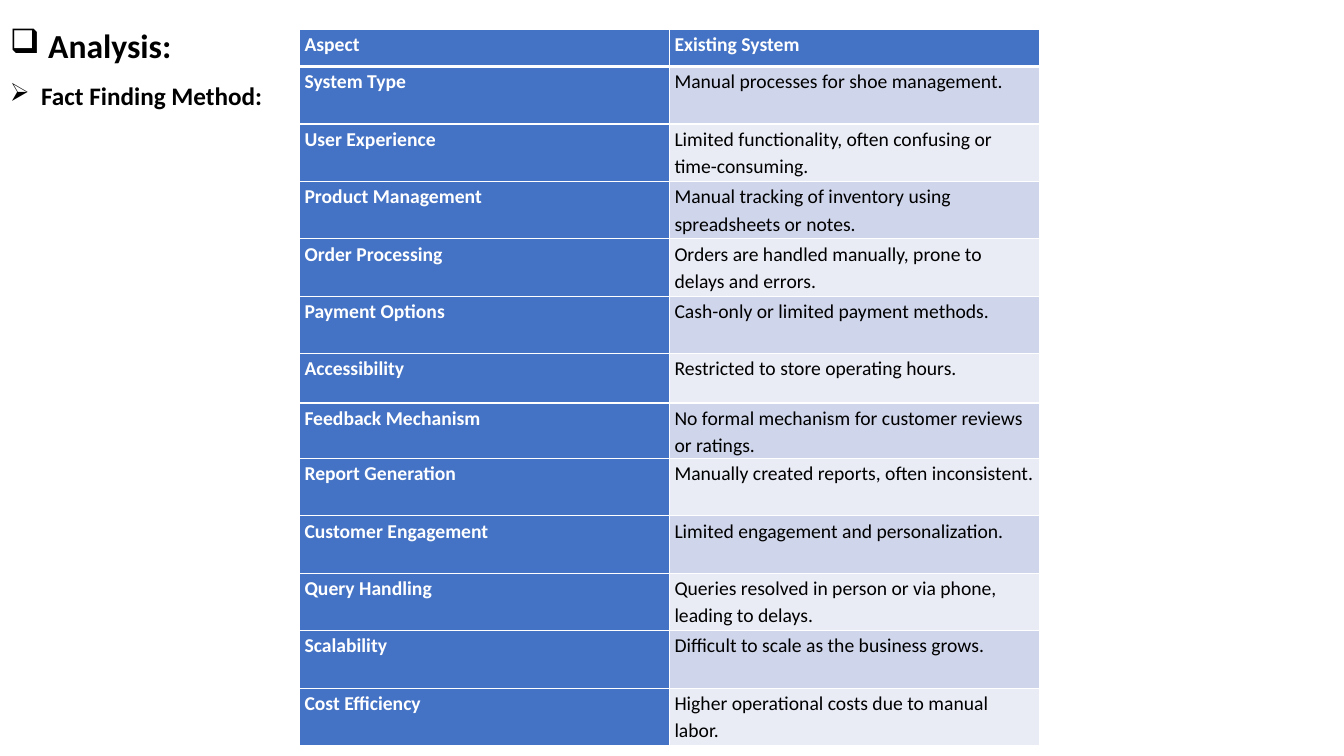
import pptx
import pptx.dml.color
import pptx.enum.text
import pptx.oxml.ns
import pptx.util
import lxml.etree

Inches = pptx.util.Inches
Pt = pptx.util.Pt
RGBColor = pptx.dml.color.RGBColor

BLACK = RGBColor(0x00, 0x00, 0x00)
WHITE = RGBColor(0xFF, 0xFF, 0xFF)
BLUE = RGBColor(0x44, 0x72, 0xC4)
BANDS = (RGBColor(0xE9, 0xEB, 0xF5), RGBColor(0xCF, 0xD5, 0xEA))
FONT = "Calibri"

TITLES = (
    ("Analysis:", "❑", 24, 0.38),
    ("Fact Finding Method:", "➢", 18, 0.31),
)

ROWS = (
    ("Aspect", "Existing System", 0.37),
    ("System Type", "Manual processes for shoe management.", 0.57),
    ("User Experience", "Limited functionality, often confusing or time-consuming.", 0.57),
    ("Product Management", "Manual tracking of inventory using spreadsheets or notes.", 0.57),
    ("Order Processing", "Orders are handled manually, prone to delays and errors.", 0.57),
    ("Payment Options", "Cash-only or limited payment methods.", 0.57),
    ("Accessibility", "Restricted to store operating hours.", 0.49),
    ("Feedback Mechanism", "No formal mechanism for customer reviews or ratings.", 0.55),
    ("Report Generation", "Manually created reports, often inconsistent.", 0.57),
    ("Customer Engagement", "Limited engagement and personalization.", 0.57),
    ("Query Handling", "Queries resolved in person or via phone, leading to delays.", 0.57),
    ("Scalability", "Difficult to scale as the business grows.", 0.57),
    ("Cost Efficiency", "Higher operational costs due to manual labor.", 0.57),
)


def add_node(parent, tag, **attrs):
    return lxml.etree.SubElement(parent, pptx.oxml.ns.qn(tag), attrs)


def style_text(para, size, color, bold):
    for run in para.runs:
        run.font.name = FONT
        run.font.size = Pt(size)
        run.font.bold = bold
        run.font.color.rgb = color


def add_bullet(para, char, indent):
    """Give the paragraph a hanging bullet."""
    props = para._p.get_or_add_pPr()
    props.set("marL", str(Inches(indent)))
    props.set("indent", str(-Inches(indent)))
    add_node(props, "a:buChar", char=char)


def add_titles(slide):
    box = slide.shapes.add_textbox(0, 0, Inches(13.33), Inches(1.11))
    frame = box.text_frame
    frame.word_wrap = True
    frame.auto_size = pptx.enum.text.MSO_AUTO_SIZE.SHAPE_TO_FIT_TEXT
    frame.text = "\n".join(title[0] for title in TITLES)
    for para, (_, char, size, indent) in zip(frame.paragraphs, TITLES):
        para.line_spacing = 1.5
        style_text(para, size, BLACK, True)
        add_bullet(para, char, indent)


def add_borders(cell, top, bottom):
    """Draw white cell edges; top and bottom are widths in points."""
    props = cell._tc.get_or_add_tcPr()
    for side, width in (("L", 1), ("R", 1), ("T", top), ("B", bottom)):
        line = add_node(props, "a:ln" + side, w=str(Pt(width)))
        fill = add_node(line, "a:solidFill")
        add_node(fill, "a:srgbClr", val=str(WHITE))


def fill_cell(cell, text, row, col):
    head = row == 0 or col == 0
    cell.margin_left = cell.margin_right = Inches(0.05)
    cell.margin_top = cell.margin_bottom = 0
    add_borders(cell, 3 if row == 1 else 1, 3 if row == 0 else 1)
    cell.fill.solid()
    cell.fill.fore_color.rgb = BLUE if head else BANDS[row % 2]
    cell.text_frame.text = text
    para = cell.text_frame.paragraphs[0]
    para.line_spacing = 1.15
    para.space_after = Pt(10)
    style_text(para, 14, WHITE if head else BLACK, head)


def add_grid(slide):
    frame = slide.shapes.add_table(
        len(ROWS), 2, Inches(2.97), Inches(0.29), Inches(7.34), Inches(7.07))
    table = frame.table
    table.first_col = True
    for row, (*texts, height) in enumerate(ROWS):
        table.rows[row].height = Inches(height)
        for col, text in enumerate(texts):
            fill_cell(table.cell(row, col), text, row, col)


def main():
    deck = pptx.Presentation()
    deck.slide_width = Inches(13.33)
    deck.slide_height = Inches(7.5)
    slide = deck.slides.add_slide(deck.slide_layouts[6])
    add_titles(slide)
    add_grid(slide)
    deck.save("out.pptx")


if __name__ == "__main__":
    main()
